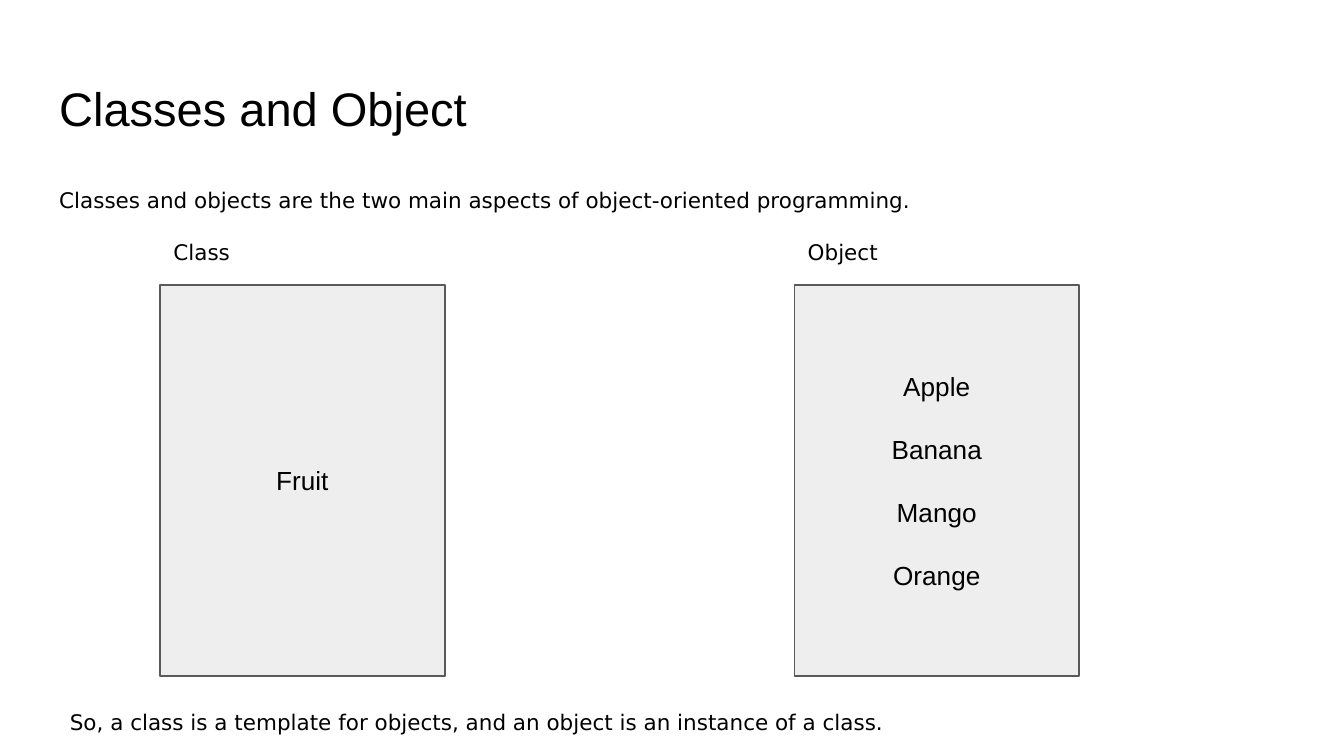
from dataclasses import dataclass

from pptx import Presentation, util as u
from pptx.dml.color import RGBColor
from pptx.enum import shapes, text
from pptx.oxml.ns import qn


@dataclass(frozen=True)
class Theme:
    ink: str = "000000"
    fill: str = "EEEEEE"
    line: str = "595959"
    head_font: str = "Arial"
    body_font: str = "DejaVu Sans"
    title: float = 25.2
    body: float = 11.5
    box: float = 14
    box_gap: float = 16.8
    para_gap: float = 14


T = Theme()
W = 10
H = W * 9 / 16
TITLE = "Classes and Object"
INTRO = "Classes and objects are the two main aspects of object-oriented programming."
SUMMARY = "So, a class is a template for objects, and an object is an instance of a class."
COLUMNS = [
    ("Class", ["Fruit"]),
    ("Object", ["Apple", "Banana", "Mango", "Orange"]),
]

MARGIN, TEXT_W, ROW_H = 0.34, 9.32, 0.4
COL_X, COL_STEP = 1.19, 4.72
LABEL_Y, LABEL_W = 1.69, 0.89
BOX_Y, BOX_W, BOX_H = 2.12, 2.12, 2.91


def place(sp, x, y, w, h):
    sp.left, sp.top, sp.width, sp.height = map(u.Inches, (x, y, w, h))


def prepare(sp, anchor):
    tf = sp.text_frame
    tf.word_wrap = True
    tf.auto_size = text.MSO_AUTO_SIZE.NONE
    tf.vertical_anchor = anchor
    tf.margin_left = tf.margin_right = tf.margin_top = tf.margin_bottom = u.Inches(0.1)
    return tf


def add_run(p, words, font, size):
    r = p.add_run()
    r.text = words
    r.font.name, r.font.size, r.font.bold = font, u.Pt(size), False
    r.font.color.rgb = RGBColor.from_string(T.ink)


def fill_body(sp, words, spacing, *area):
    """Turn a body placeholder into one plain paragraph without a bullet."""
    place(sp, *area)
    p = prepare(sp, text.MSO_ANCHOR.TOP).paragraphs[0]
    p.line_spacing = spacing
    p.space_before = p.space_after = u.Pt(T.para_gap)
    pPr = p._p.get_or_add_pPr()
    pPr.set("marL", "0")
    pPr.set("indent", "0")
    pPr.append(pPr.makeelement(qn("a:buNone"), {}))
    add_run(p, words, T.body_font, T.body)


def add_box(s, items, x):
    sp = s.shapes.add_shape(shapes.MSO_SHAPE.RECTANGLE,
                            *map(u.Inches, (x, BOX_Y, BOX_W, BOX_H)))
    sp.shadow.inherit = False
    sp.fill.solid()
    sp.fill.fore_color.rgb = RGBColor.from_string(T.fill)
    sp.line.color.rgb = RGBColor.from_string(T.line)
    sp.line.width = u.Pt(0.75)
    tf = prepare(sp, text.MSO_ANCHOR.MIDDLE)
    for i, item in enumerate(items):
        p = tf.add_paragraph() if i else tf.paragraphs[0]
        p.alignment = text.PP_ALIGN.CENTER
        p.space_before = u.Pt(T.box_gap if i else 0)
        add_run(p, item, T.head_font, T.box)


def main():
    prs = Presentation()
    prs.slide_width, prs.slide_height = u.Inches(W), u.Inches(H)
    s = prs.slides.add_slide(prs.slide_layouts.get_by_name("Comparison"))
    title, intro, summary, *labels = list(s.placeholders)[:5]

    place(title, MARGIN, 0.49, TEXT_W, 0.63)
    p = prepare(title, text.MSO_ANCHOR.MIDDLE).paragraphs[0]
    p.alignment = text.PP_ALIGN.LEFT
    add_run(p, TITLE, T.head_font, T.title)

    fill_body(intro, INTRO, 1.15, MARGIN, 1.26, TEXT_W, ROW_H)
    for i, (label, items) in enumerate(COLUMNS):
        x = COL_X + i * COL_STEP
        fill_body(labels[i], label, 0.95, x, LABEL_Y, LABEL_W, ROW_H)
        add_box(s, items, x)
    fill_body(summary, SUMMARY, 1.15, 0.42, 5.15, TEXT_W, ROW_H)

    prs.save("out.pptx")


if __name__ == "__main__":
    main()
